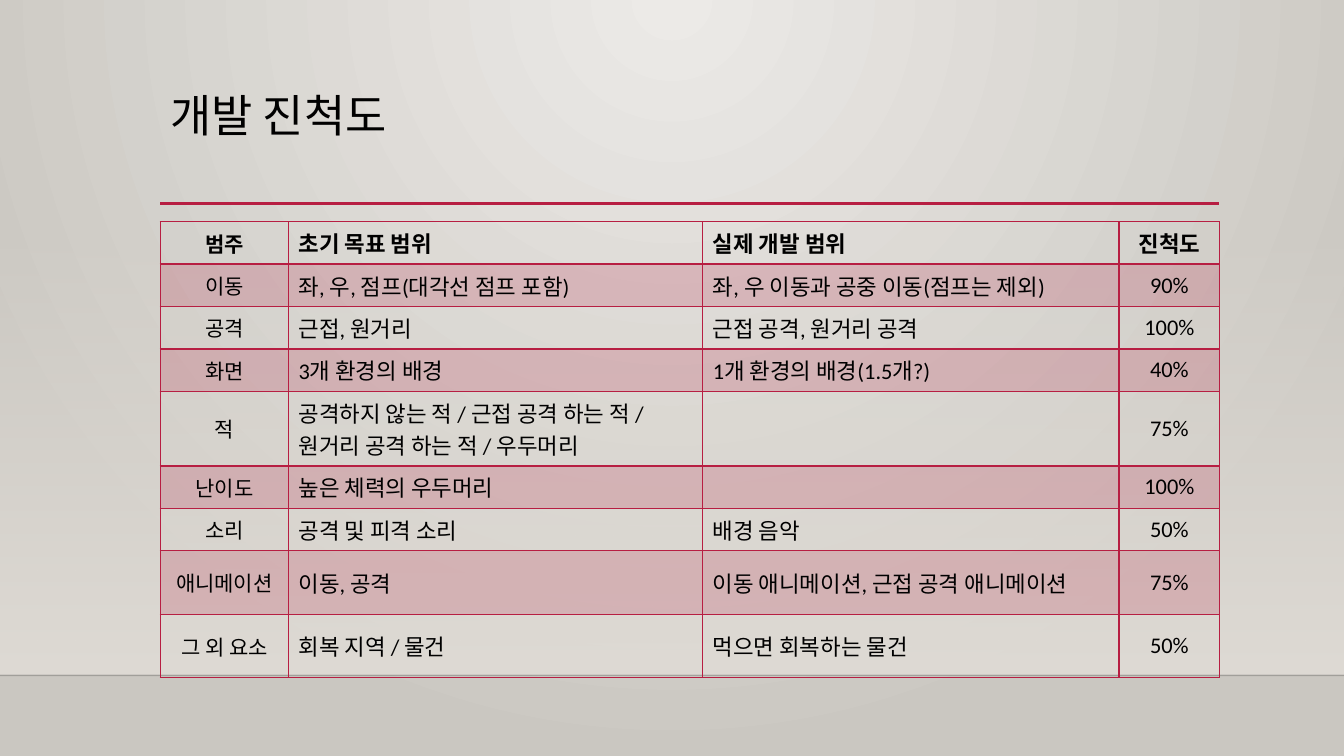
from pptx import Presentation
from pptx.dml.color import RGBColor
from pptx.enum.shapes import MSO_CONNECTOR, MSO_SHAPE
from pptx.enum.text import MSO_ANCHOR, MSO_AUTO_SIZE, PP_ALIGN
from pptx.oxml import parse_xml
from pptx.oxml.ns import nsdecls
from pptx.util import Cm, Pt

LINE, RECT = MSO_CONNECTOR.STRAIGHT, MSO_SHAPE.RECTANGLE
TOP, MIDDLE = MSO_ANCHOR.TOP, MSO_ANCHOR.MIDDLE
LEFT, CENTER = PP_ALIGN.LEFT, PP_ALIGN.CENTER
NS = nsdecls("a")

RED = RGBColor(0xB7, 0x1E, 0x42)
BLACK = RGBColor(0, 0, 0)
LIGHT = RGBColor(0xEC, 0xEA, 0xE7)
DARK = RGBColor(0xCA, 0xC7, 0xC1)
WALL = RGBColor(0xDF, 0xDB, 0xD5)
FONT = "Calibri"

HEAD = ("범주", "초기 목표 범위", "실제 개발 범위", "진척도")
ROWS = [
    HEAD,
    ("이동", "좌, 우, 점프(대각선 점프 포함)", "좌, 우 이동과 공중 이동(점프는 제외)", "90%"),
    ("공격", "근접, 원거리", "근접 공격, 원거리 공격", "100%"),
    ("화면", "3개 환경의 배경", "1개 환경의 배경(1.5개?)", "40%"),
    ("적", "공격하지 않는 적 / 근접 공격 하는 적 / 원거리 공격 하는 적 / 우두머리", "", "75%"),
    ("난이도", "높은 체력의 우두머리", "", "100%"),
    ("소리", "공격 및 피격 소리", "배경 음악", "50%"),
    ("애니메이션", "이동, 공격", "이동 애니메이션, 근접 공격 애니메이션", "75%"),
    ("그 외 요소", "회복 지역 / 물건", "먹으면 회복하는 물건", "50%"),
]
WIDTHS = (3.23, 10.44, 10.49, 2.54)
TALL = (4, 7, 8)


def fade(fill, percent):
    """Set the opacity of the first colour in an element."""
    color = fill.xpath(".//a:srgbClr")[0]
    color.append(parse_xml(f'<a:alpha {NS} val="{percent * 1000}"/>'))


def rule(left, right, y, color, width):
    line = slide.shapes.add_connector(LINE, Cm(left), Cm(y), Cm(right), Cm(y))
    line.line.color.rgb = color
    line.line.width = Pt(width)
    line._element.spPr.append(parse_xml(f"<a:effectLst {NS}/>"))
    return line


deck = Presentation()
deck.slide_width, deck.slide_height = Cm(33.87), Cm(19.05)
slide = deck.slides.add_slide(deck.slide_layouts[5])

# Background glow from the top centre
back = slide.background.fill
back.gradient()
for stop, color in zip(back.gradient_stops, (LIGHT, DARK)):
    stop.color.rgb = color
lin = slide._element.xpath(".//p:bgPr//a:lin")[0]
lin.getparent().replace(lin, parse_xml(
    f'<a:path {NS} path="circle">'
    '<a:fillToRect l="43000" t="0" r="43000" b="100000"/></a:path>'))

# Wall and floor line
wall = slide.shapes.add_shape(RECT, 0, Cm(5.61), deck.slide_width, Cm(11.4))
wall.shadow.inherit = False
wall.line.fill.background()
wall.fill.gradient()
wall.fill.gradient_angle = 270
for stop in wall.fill.gradient_stops:
    stop.color.rgb = WALL
    stop.position = 0
wall.fill.gradient_stops[1].position = 1
fade(wall._element.spPr, 0)
floor = rule(0, 33.87, 17.02, BLACK, 1)
fade(floor._element.spPr, 20)

# Title
rule(4.04, 30.73, 5.13, RED, 2.5)
title = slide.shapes.title
title.left, title.top, title.width, title.height = Cm(4.04), Cm(2.24), Cm(26.67), Cm(2.92)
frame = title.text_frame
frame.text = "개발 진척도"
frame.auto_size = MSO_AUTO_SIZE.NONE
frame.vertical_anchor = TOP
para = frame.paragraphs[0]
para.alignment = LEFT
para.line_spacing = 0.9
para.font.name, para.font.size = FONT, Pt(32)
para.font.color.rgb = BLACK

# Progress table
table = slide.shapes.add_table(
    len(ROWS), len(HEAD), Cm(4.04), Cm(5.59), Cm(26.7), Cm(10.39)).table
table.horz_banding = False
for col, width in zip(table.columns, WIDTHS):
    col.width = Cm(width)
for r, texts in enumerate(ROWS):
    table.rows[r].height = Cm(1.6 if r in TALL else 0.91)
    for c, text in enumerate(texts):
        cell = table.cell(r, c)
        cell.text = text
        cell.vertical_anchor = MIDDLE
        para = cell.text_frame.paragraphs[0]
        para.alignment = CENTER if c in (0, 3) else LEFT
        font = para.font
        font.name, font.size = FONT, Pt(15 if c == 0 else 16)
        font.bold = r == 0
        font.color.rgb = BLACK
        props = cell._tc.get_or_add_tcPr()
        if r % 2:
            cell.fill.solid()
            cell.fill.fore_color.rgb = RED
            fade(props, 20)
        else:
            cell.fill.background()
        for i, side in enumerate("LRTB"):
            thick = (r, side) in ((0, "B"), (1, "T"))
            props.insert(i, parse_xml(
                f'<a:ln{side} {NS} w="{Pt(2 if thick else 1)}"><a:solidFill>'
                f'<a:srgbClr val="{RED}"/></a:solidFill></a:ln{side}>'))

deck.save("out.pptx")
